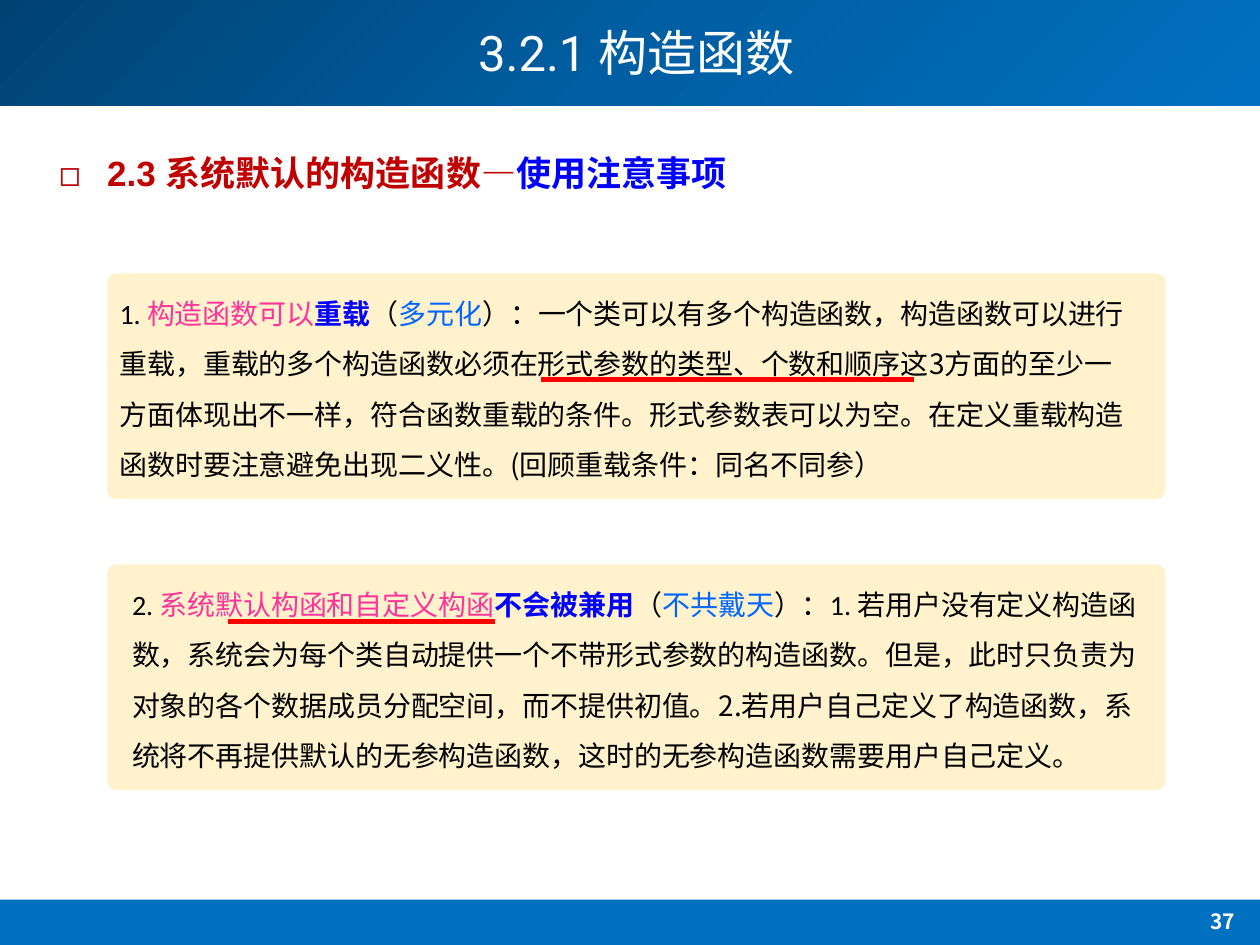
"""Build the slide on rules for overloaded and default constructors."""
import copy

import pptx
import pptx.dml.color
import pptx.enum.shapes
import pptx.enum.text
import pptx.oxml
import pptx.oxml.ns
import pptx.util

Inches = pptx.util.Inches
SHAPES = pptx.enum.shapes.MSO_SHAPE
ALIGN = pptx.enum.text.PP_ALIGN
ANCHOR = pptx.enum.text.MSO_ANCHOR
FIT = pptx.enum.text.MSO_AUTO_SIZE

CJK, LATIN = "Noto Sans CJK SC", "Calibri"
BLACK, WHITE, BLUE, PINK = "000000", "FFFFFF", "0000FF", "FF3399"
SKY, CRIMSON, RED, CREAM, BAND = "0066FF", "C00000", "FF0000", "FFF2CC", "0070C0"
HEADER_STOPS = [(0, "004272"), (0.5, "005EA2"), (1, BAND)]

TITLE = [("3.2.1 ", "Roboto", WHITE, False), ("构造函数", CJK, WHITE, False)]
HEADING = [
    ("2.3 系统默认的构造函数—", "Arial", CRIMSON, True),
    ("使用注意事项", "Arial", BLUE, True),
]
PAGE = [("37", CJK, WHITE, True)]
NOTES = [
    {"panel_top": 2.17, "text_left": 0.85, "runs": [
        ("1. ", LATIN, BLACK, False),
        ("构造函数可以", LATIN, PINK, False),
        ("重载", LATIN, BLUE, True),
        ("（", LATIN, BLACK, False),
        ("多元化", CJK, SKY, False),
        ("）：", LATIN, BLACK, False),
        ("一个类可以有多个构造函数，构造函数可以进行重载，重载的多个构造函数必须"
         "在形式参数的类型、个数和顺序这3方面的至少一方面体现出不一样，符合函数重载的条件。"
         "形式参数表可以为空。在定义重载构造函数时要注意避免出现二义性。"
         "(回顾重载条件：同名不同参）", CJK, BLACK, False),
    ]},
    {"panel_top": 4.48, "text_left": 0.95, "runs": [
        ("2. ", LATIN, BLACK, False),
        ("系统默认构函和自定义构函", LATIN, PINK, False),
        ("不会被兼用", LATIN, BLUE, True),
        ("（", LATIN, BLACK, False),
        ("不共戴天", CJK, SKY, False),
        ("）：1. ", LATIN, BLACK, False),
        ("若用户没有定义构造函数，系统会为每个类自动提供一个不带形式参数的构造函数。"
         "但是，此时只负责为对象的各个数据成员分配空间，而不提供初值。"
         "2.若用户自己定义了构造函数，系统将不再提供默认的无参构造函数，"
         "这时的无参构造函数需要用户自己定义。", CJK, BLACK, False),
    ]},
]
UNDERLINES = [(4.29, 7.25, 3.01), (1.81, 3.93, 4.93)]


def rgb(value):
    return pptx.dml.color.RGBColor.from_string(value)


def apply(target, values):
    for key, value in values.items():
        setattr(target, key, value)


def place(shape, *box):
    apply(shape, dict(zip(("left", "top", "width", "height"), map(Inches, box))))


def add_block(slide, preset, box, color):
    block = slide.shapes.add_shape(preset, *map(Inches, box))
    block.shadow.inherit = False
    block.line.fill.background()
    block.fill.solid()
    block.fill.fore_color.rgb = rgb(color)
    return block


def shade_header(header):
    header.fill.gradient()
    header.fill.gradient_angle = 315
    stop_list = header.element.spPr.find(".//" + pptx.oxml.ns.qn("a:gsLst"))
    stop_list.insert(1, copy.deepcopy(stop_list[0]))
    for stop, (position, color) in zip(header.fill.gradient_stops, HEADER_STOPS):
        stop.position = position
        stop.color.rgb = rgb(color)


def write(shape, runs, size, frame_format, paragraph_format):
    apply(shape.text_frame, {"word_wrap": True, **frame_format})
    paragraph = shape.text_frame.paragraphs[0]
    apply(paragraph, {"space_before": pptx.util.Pt(0), **paragraph_format})
    for text, typeface, color, bold in runs:
        run = paragraph.add_run()
        run.text = text
        apply(run.font, {"size": pptx.util.Pt(size), "name": typeface, "bold": bold})
        run.font.color.rgb = rgb(color)
        east_asian = run.font._element.makeelement(
            pptx.oxml.ns.qn("a:ea"), {"typeface": CJK})
        run.font._element.find(pptx.oxml.ns.qn("a:latin")).addnext(east_asian)
    return paragraph


def add_bullet(paragraph, mark, hang):
    properties = paragraph._p.get_or_add_pPr()
    properties.set("marL", str(Inches(hang)))
    properties.set("indent", str(-Inches(hang)))
    for tag, key, value in (("buFont", "typeface", CJK), ("buChar", "char", mark)):
        properties.append(properties.makeelement(
            pptx.oxml.ns.qn("a:" + tag), {key: value}))


def add_underline(slide, start, end, y):
    rule = slide.shapes.add_connector(
        pptx.enum.shapes.MSO_CONNECTOR.STRAIGHT, *map(Inches, (start, y, end, y)))
    rule.line.color.rgb = rgb(RED)
    rule.line.width = pptx.util.Pt(3)
    properties = rule._element.spPr
    properties.append(properties.makeelement(pptx.oxml.ns.qn("a:effectLst"), {}))


def main():
    deck = pptx.Presentation()
    apply(deck, {"slide_width": Inches(10), "slide_height": Inches(7.5)})
    slide = deck.slides.add_slide(deck.slide_layouts[1])
    title, heading = slide.placeholders

    shade_header(add_block(slide, SHAPES.RECTANGLE, (0, 0, 10, 0.84), BAND))
    add_block(slide, SHAPES.RECTANGLE, (0, 7.14, 10, 0.36), BAND)
    page = slide.shapes.add_textbox(*map(Inches, (9.23, 7.16, 0.95, 0.36)))
    write(page, PAGE, 12, {}, {"alignment": ALIGN.CENTER})

    for note in NOTES:
        panel = add_block(slide, SHAPES.ROUNDED_RECTANGLE,
                          (0.85, note["panel_top"], 8.4, 1.79), CREAM)
        panel.adjustments[0] = 0.04

    place(title, 0.85, 0, 8.4, 0.89)
    write(title, TITLE, 28, {"vertical_anchor": ANCHOR.MIDDLE},
          {"alignment": ALIGN.CENTER, "line_spacing": 0.9})
    place(heading, 0.37, 1.15, 7.82, 0.44)
    add_bullet(write(heading, HEADING, 20, {"auto_size": FIT.SHAPE_TO_FIT_TEXT}, {}),
               "◻", 0.38)
    for placeholder in (title, heading):
        slide.shapes.element.append(placeholder.element)

    for note in NOTES:
        box = (note["text_left"], note["panel_top"], 8.21, 1.72)
        body = slide.shapes.add_textbox(*map(Inches, box))
        write(body, note["runs"], 16, {"auto_size": FIT.SHAPE_TO_FIT_TEXT},
              {"line_spacing": 1.5})
    for underline in UNDERLINES:
        add_underline(slide, *underline)

    deck.save("out.pptx")


if __name__ == "__main__":
    main()
